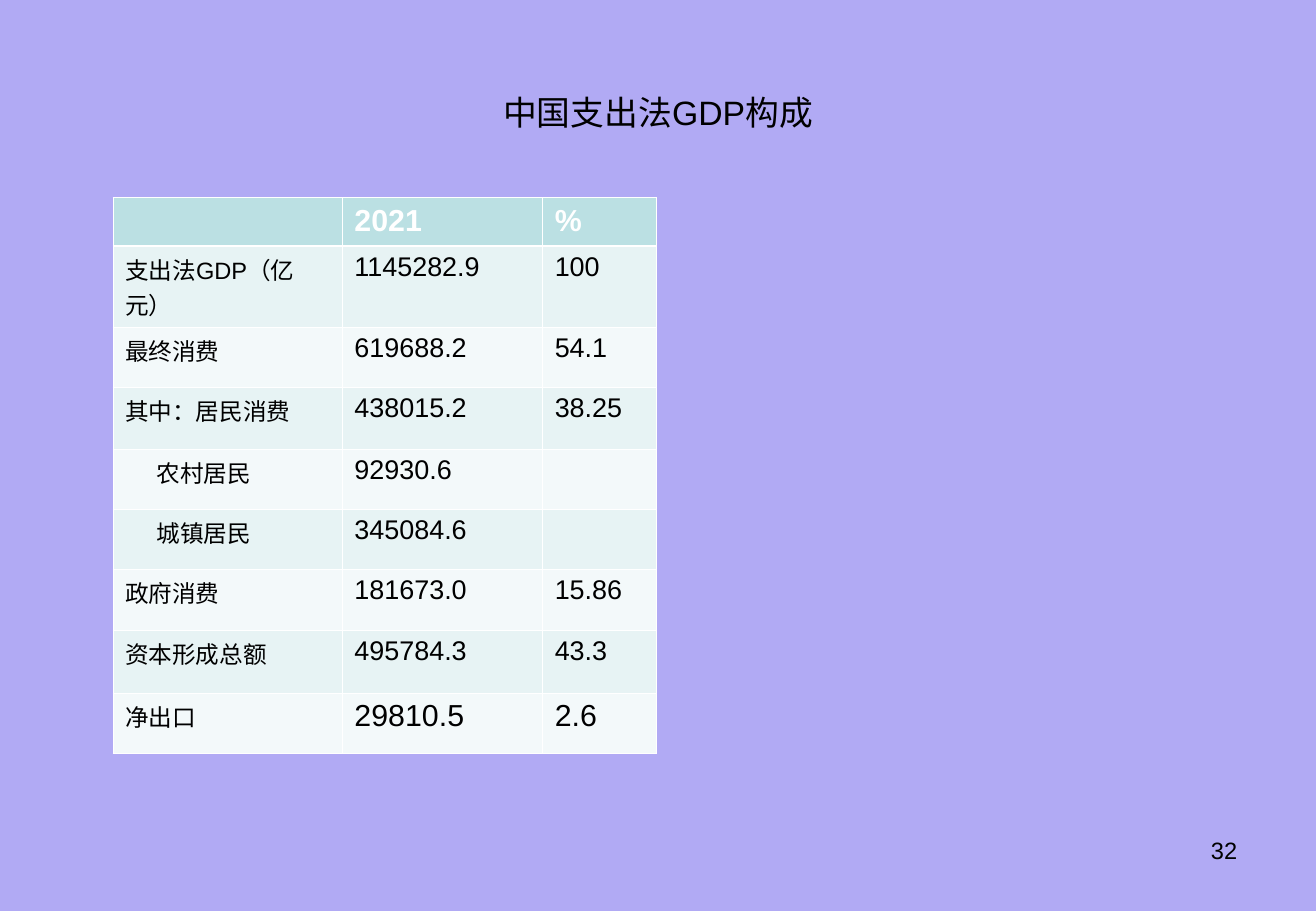
import pptx
import pptx.dml.color
import pptx.enum.text
import pptx.util
from lxml import etree

FONT = "Arial"
BLACK, WHITE = "000000", "FFFFFF"
HEADER_FILL, BANDS = "BBE0E3", ("F3F9FA", "E7F3F4")
THIN, THICK = 0.45, 1.47
ALIGN = pptx.enum.text.PP_ALIGN
ANCHOR = pptx.enum.text.MSO_ANCHOR

COLUMN_WIDTHS = [17.44, 15.22, 8.67]
ROW_HEIGHTS = [5.3, 8.9, 6.6, 6.8, 6.6, 6.6, 6.67, 6.93, 6.6]
GDP_ROWS = [
    ("", "2021", "%"),
    ("支出法GDP（亿元）", "1145282.9", "100"),
    ("最终消费", "619688.2", "54.1"),
    ("其中：居民消费", "438015.2", "38.25"),
    ("农村居民", "92930.6", ""),
    ("城镇居民", "345084.6", ""),
    ("政府消费", "181673.0", "15.86"),
    ("资本形成总额", "495784.3", "43.3"),
    ("净出口", "29810.5", "2.6"),
]
INDENTED = ("农村居民", "城镇居民")


def colour(value):
    return pptx.dml.color.RGBColor.from_string(value)


def write(frame, text, size=14, color=BLACK, bold=False, align=ALIGN.LEFT, indent=0):
    para = frame.paragraphs[0]
    if indent:
        para._p.get_or_add_pPr().set("marL", str(pptx.util.Inches(indent)))
    para.alignment = align
    span = para.add_run()
    span.text = text
    span.font.name = FONT
    span.font.size = pptx.util.Pt(size)
    span.font.bold = bold
    span.font.color.rgb = colour(color)


class Page:
    """Places styled elements on one slide, in hundredths of its width and height."""

    def __init__(self, deck, background):
        self.deck = deck
        self.slide = deck.slides.add_slide(deck.slide_layouts[5])
        self.slide.background.fill.solid()
        self.slide.background.fill.fore_color.rgb = colour(background)

    def across(self, share):
        return round(self.deck.slide_width * share / 100)

    def down(self, share):
        return round(self.deck.slide_height * share / 100)

    def area(self, left, top, width, height):
        return self.across(left), self.down(top), self.across(width), self.down(height)

    def title(self, text, *place):
        box = self.slide.shapes.title
        box.left, box.top, box.width, box.height = self.area(*place)
        box.text_frame.vertical_anchor = ANCHOR.MIDDLE
        write(box.text_frame, text, size=20, align=ALIGN.CENTER)

    def label(self, text, *place, **style):
        box = self.slide.shapes.add_textbox(*self.area(*place))
        box.text_frame.word_wrap = True
        write(box.text_frame, text, **style)

    def borders(self, cell, **widths):
        properties = cell._tc.get_or_add_tcPr()
        for side in ("lnL", "lnR", "lnT", "lnB"):
            width = pptx.util.Pt(widths.get(side, THIN))
            line = etree.SubElement(properties, pptx.oxml.ns.qn(f"a:{side}"), w=str(width))
            fill = etree.SubElement(line, pptx.oxml.ns.qn("a:solidFill"))
            etree.SubElement(fill, pptx.oxml.ns.qn("a:srgbClr"), val=WHITE)

    def cell(self, cell, text, row, column):
        if row == 0:
            self.borders(cell, lnB=THICK)
        elif row == 1:
            self.borders(cell, lnT=THICK)
        else:
            self.borders(cell)
        cell.fill.solid()
        cell.fill.fore_color.rgb = colour(BANDS[row % 2] if row else HEADER_FILL)
        if not text:
            return
        if row == 0:
            write(cell.text_frame, text, size=18, color=WHITE, bold=True)
        elif column == 0:
            write(cell.text_frame, text, indent=0.26 if text in INDENTED else 0)
        else:
            write(cell.text_frame, text, size=18 if row == len(GDP_ROWS) - 1 else 16)

    def table(self, rows, left, top, widths, heights):
        place = self.area(left, top, sum(widths), sum(heights))
        table = self.slide.shapes.add_table(len(rows), len(widths), *place).table
        table.first_row = table.horz_banding = False
        for column, width in zip(table.columns, widths):
            column.width = self.across(width)
        for line, height in zip(table.rows, heights):
            line.height = self.down(height)
        for row, texts in enumerate(rows):
            for column, text in enumerate(texts):
                self.cell(table.cell(row, column), text, row, column)


def main():
    deck = pptx.Presentation()
    deck.slide_width = pptx.util.Inches(10.84)
    deck.slide_height = pptx.util.Inches(7.5)
    page = Page(deck, "B1AAF4")
    page.label("32", 71.59, 91.07, 23.34, 6.93, align=ALIGN.RIGHT)
    page.title("中国支出法GDP构成", 5, 4, 90, 16.67)
    page.table(GDP_ROWS, 8.58, 21.67, COLUMN_WIDTHS, ROW_HEIGHTS)
    deck.save("out.pptx")


if __name__ == "__main__":
    main()
